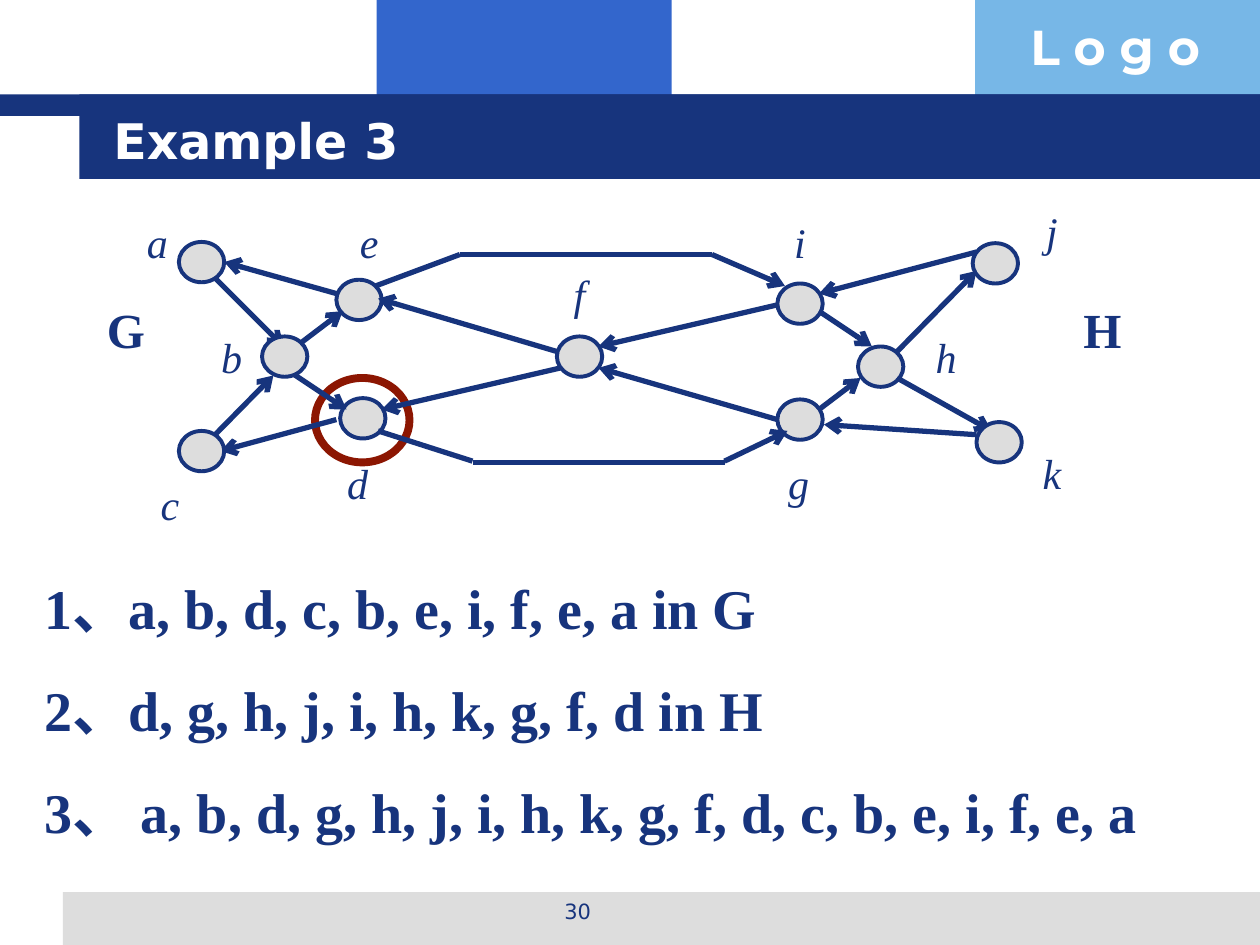
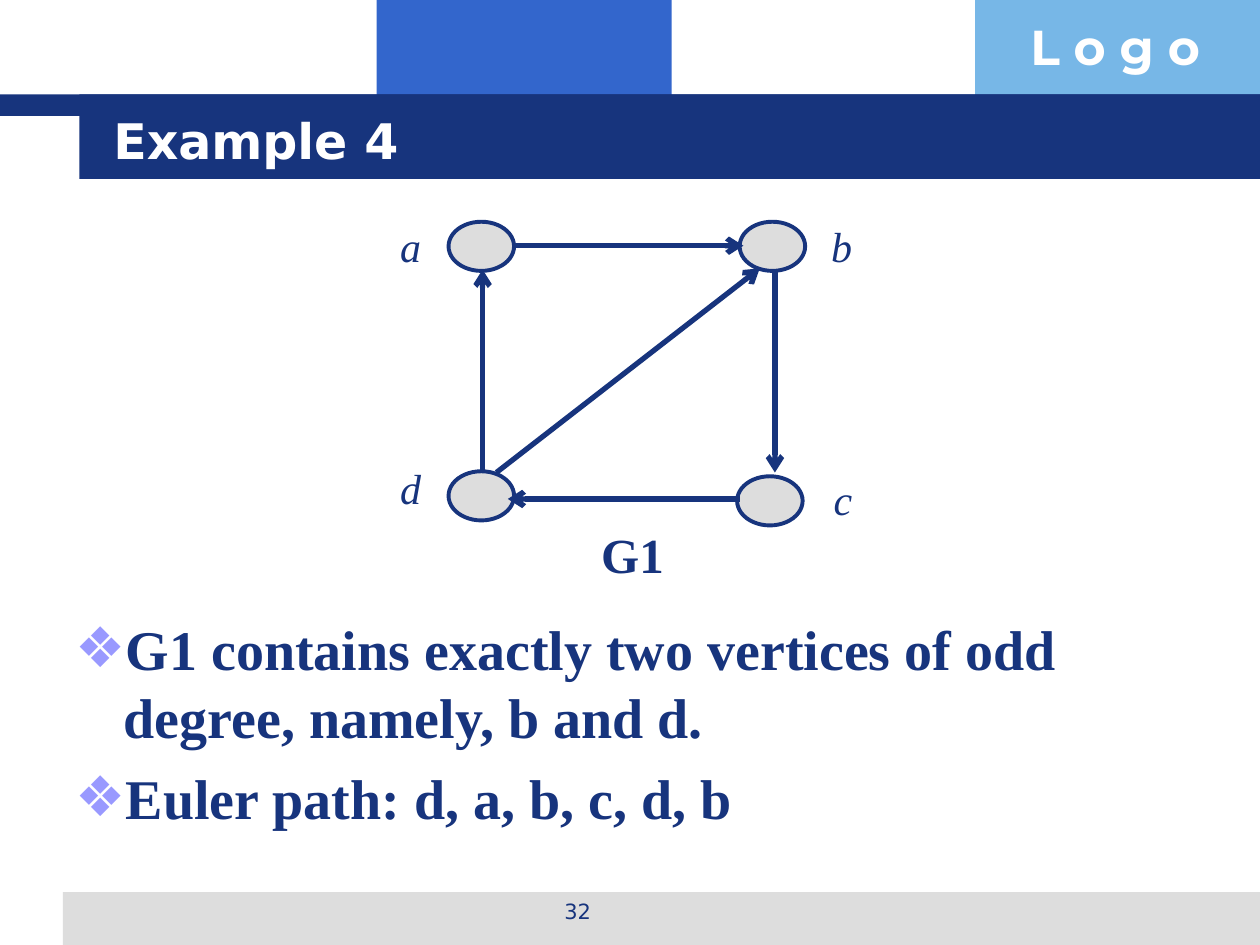
from lxml.etree import SubElement
from pptx import Presentation
from pptx.dml.color import RGBColor
from pptx.enum.shapes import MSO_CONNECTOR as Connector, MSO_SHAPE as Shape
from pptx.enum.text import MSO_ANCHOR as Anchor, MSO_AUTO_SIZE as AutoSize, PP_ALIGN as Align
from pptx.oxml.ns import qn
from pptx.util import Inches, Pt

NAVY, BLUE, SKY = "17347D", "3366CC", "77B7E7"
GRAY, WHITE, RED, LILAC = "DDDDDD", "FFFFFF", "8C1602", "9999FF"
SANS, SERIF = "DejaVu Sans", "Times New Roman"
rgb = RGBColor.from_string


def write_text(frame, *lines, font=SERIF, size=24, color=NAVY, bold=False, italic=False,
               align=Align.LEFT, anchor=Anchor.TOP, wrap=True, gap=0, bullet=None, hanging=0):
    frame.word_wrap = wrap
    frame.auto_size = AutoSize.NONE
    frame.vertical_anchor = anchor
    for index, line in enumerate(lines):
        paragraph = frame.add_paragraph() if index else frame.paragraphs[0]
        properties = paragraph._p.get_or_add_pPr()
        properties.set("marL", str(Inches(hanging)))
        properties.set("indent", str(-Inches(hanging)))
        if bullet:
            bullet_color = SubElement(properties, qn("a:buClr"))
            SubElement(bullet_color, qn("a:srgbClr"), val=LILAC)
            SubElement(properties, qn("a:buChar"), char=bullet)
        else:
            SubElement(properties, qn("a:buNone"))
        paragraph.alignment = align
        paragraph.space_before = Pt(gap if index else 0)
        run = paragraph.add_run()
        run.text = line
        run.font.name, run.font.size = font, Pt(size)
        run.font.bold, run.font.italic = bold, italic
        run.font.color.rgb = rgb(color)


def draw_shape(slide, kind, box, fill=None, line=None, width=2.25):
    shape = slide.shapes.add_shape(kind, *map(Inches, box))
    shape.shadow.inherit = False
    if fill:
        shape.fill.solid()
        shape.fill.fore_color.rgb = rgb(fill)
    else:
        shape.fill.background()
    if line:
        shape.line.color.rgb = rgb(line)
        shape.line.width = Pt(width)
    else:
        shape.line.fill.background()
    return shape


examples = [
    {
        "title": "Example 3",
        "page": "30",
        "body_box": (0.25, 4.5, 9.17, 2.26),
        "lines": [
            "1、a, b, d, c, b, e, i, f, e, a in G",
            "2、d, g, h, j, i, h, k, g, f, d in H",
            "3、 a, b, d, g, h, j, i, h, k, g, f, d, c, b, e, i, f, e, a",
        ],
        "list_format": {"gap": 20},
        "node_size": (0.36, 0.32),
        "back_nodes": [(2.67, 2.22), (2.7, 3.16), (6.17, 2.25), (6.81, 2.75),
                       (6.17, 3.17), (7.72, 1.93), (4.42, 2.67)],
        "front_nodes": [(1.42, 3.42), (7.75, 3.35), (2.08, 2.67), (1.42, 1.92)],
        "rings": [(2.5, 3, 0.75, 0.67)],
        "labels": [("a", 1.07, 1.67), ("c", 1.17, 3.75), ("b", 1.66, 2.58), ("e", 2.75, 1.67),
                   ("d", 2.66, 3.58), ("f", 4.42, 2.08), ("i", 6.17, 1.67), ("g", 6.16, 3.58),
                   ("h", 7.33, 2.58), ("j", 8.17, 1.58), ("k", 8.17, 3.5)],
        "captions": [("G", 0.65, 2.33), ("H", 8.4, 2.33)],
        "plain_lines": [(2.98, 2.27, 3.65, 2.02), (3.65, 2.02, 5.65, 2.02),
                        (3, 3.42, 3.75, 3.66), (3.75, 3.67, 5.75, 3.67)],
        "arrows": [
            (1.67, 2.17, 2.25, 2.75), (2.39, 2.72, 2.72, 2.47), (2.33, 2.97, 2.75, 3.25),
            (1.53, 3.63, 2.17, 2.98), (5.65, 2.02, 6.23, 2.27), (6.5, 3.25, 6.83, 3),
            (6.5, 2.47, 6.92, 2.75), (7.12, 3, 7.87, 3.42), (7.11, 2.8, 7.75, 2.15),
            (5.75, 3.66, 6.25, 3.42), (4.42, 2.79, 3, 2.37), (6.17, 3.33, 4.75, 2.92),
            (6.17, 2.42, 4.75, 2.75), (4.45, 2.92, 3.03, 3.25), (2.67, 3.33, 1.75, 3.58),
            (2.67, 2.33, 1.78, 2.08), (7.75, 2, 6.5, 2.33), (7.75, 3.45, 6.54, 3.37),
        ],
    },
    {
        "title": "Example 4",
        "page": "32",
        "body_box": (0.5, 4.83, 9, 2.06),
        "lines": [
            "G1 contains exactly two vertices of odd degree, namely, b and d.",
            "Euler path: d, a, b, c, d, b",
        ],
        "list_format": {"gap": 8, "bullet": "❖", "hanging": 0.38},
        "node_size": (0.52, 0.39),
        "back_nodes": [(3.56, 1.76), (3.56, 3.74), (5.85, 3.78), (5.87, 1.76)],
        "front_nodes": [],
        "rings": [],
        "labels": [("a", 3.08, 1.7), ("d", 3.08, 3.62), ("b", 6.5, 1.7), ("c", 6.51, 3.71)],
        "captions": [("G1", 4.67, 4.11)],
        "plain_lines": [],
        "arrows": [(3.83, 3.73, 3.83, 2.14), (6.15, 2.15, 6.15, 3.75), (3.94, 3.75, 6.03, 2.13),
                   (4.07, 1.95, 5.9, 1.95), (5.87, 3.96, 4.03, 3.96)],
    },
]

presentation = Presentation()
presentation.slide_width, presentation.slide_height = Inches(10), Inches(7.5)
layout = presentation.slide_layouts[1]
slides = [presentation.slides.add_slide(layout) for example in examples]

bands = [
    (2.99, 0, 2.34, 0.92, BLUE),
    (7.74, 0, 2.26, 0.92, SKY),
    (0.5, 7.08, 9.5, 0.42, GRAY),
    (0, 0.75, 10, 0.17, NAVY),
    (0.63, 0.75, 9.37, 0.67, NAVY),
]
shared_shapes = [draw_shape(slides[0], Shape.RECTANGLE, box, color) for *box, color in bands]
logo = slides[0].shapes.add_textbox(*map(Inches, (8.08, 0.08, 1.93, 0.57)))
write_text(logo.text_frame, "L o g o", font="Montserrat", size=28, color=WHITE, bold=True)
shared_shapes.append(logo)
master_tree = presentation.slide_master.shapes._spTree
for index, shape in enumerate(shared_shapes):
    shape._element.nvSpPr.cNvPr.id = 100 + index
    master_tree.insert(2 + index, shape._element)

for slide, example in zip(slides, examples):
    title, body = slide.shapes.title, slide.placeholders[1]
    for placeholder, box in ((title, (0.8, 0.8, 8.53, 0.62)), (body, example["body_box"])):
        placeholder.left, placeholder.top, placeholder.width, placeholder.height = map(Inches, box)
    write_text(title.text_frame, example["title"], font=SANS, size=28, color=WHITE,
               bold=True, anchor=Anchor.MIDDLE)
    write_text(body.text_frame, *example["lines"], size=32, bold=True, **example["list_format"])

    page_number = slide.shapes.add_textbox(*map(Inches, (3.42, 7.08, 2.33, 0.35)))
    write_text(page_number.text_frame, example["page"], font=SANS, size=12, align=Align.CENTER)

    for node in example["back_nodes"]:
        draw_shape(slide, Shape.OVAL, node + example["node_size"], GRAY, NAVY)

    for name, left, top in example["labels"]:
        label = slide.shapes.add_textbox(*map(Inches, (left, top, 0.36, 0.5)))
        write_text(label.text_frame, name, italic=True, align=Align.CENTER,
                   anchor=Anchor.MIDDLE, wrap=False)

    for name, left, top in example["captions"]:
        caption = slide.shapes.add_textbox(*map(Inches, (left, top, 0.7, 0.57)))
        write_text(caption.text_frame, name, size=28, bold=True, align=Align.CENTER, wrap=False)

    for ring in example["rings"]:
        draw_shape(slide, Shape.OVAL, ring, line=RED, width=4.5)

    for has_arrow, edges in ((False, example["plain_lines"]), (True, example["arrows"])):
        for edge in edges:
            connector = slide.shapes.add_connector(Connector.STRAIGHT, *map(Inches, edge))
            connector.line.color.rgb = rgb(NAVY)
            connector.line.width = Pt(3)
            if has_arrow:
                SubElement(connector.line._get_or_add_ln(), qn("a:tailEnd"), type="arrow")
            SubElement(connector._element.spPr, qn("a:effectLst"))

    for node in example["front_nodes"]:
        draw_shape(slide, Shape.OVAL, node + example["node_size"], GRAY, NAVY)

presentation.save("out.pptx")
